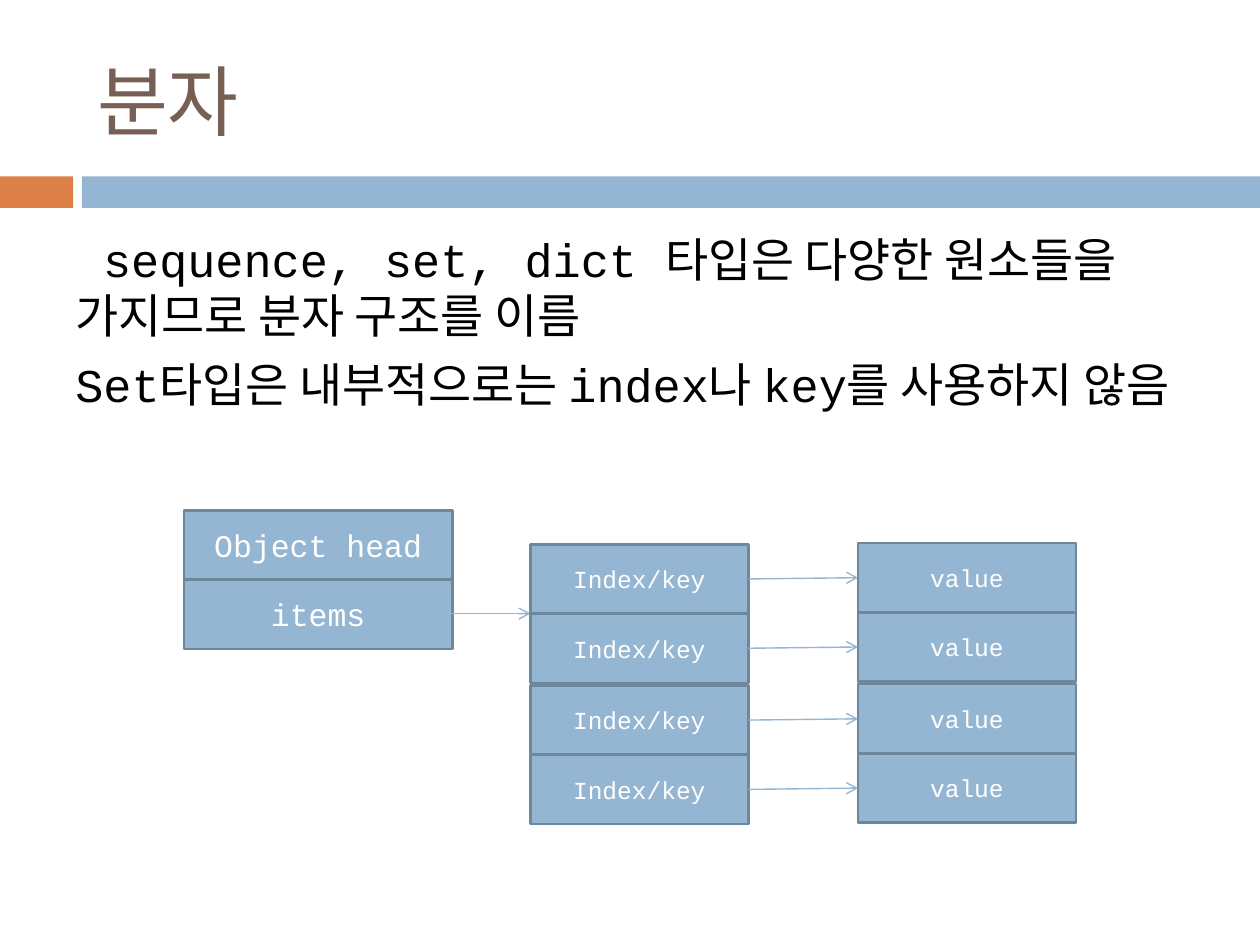
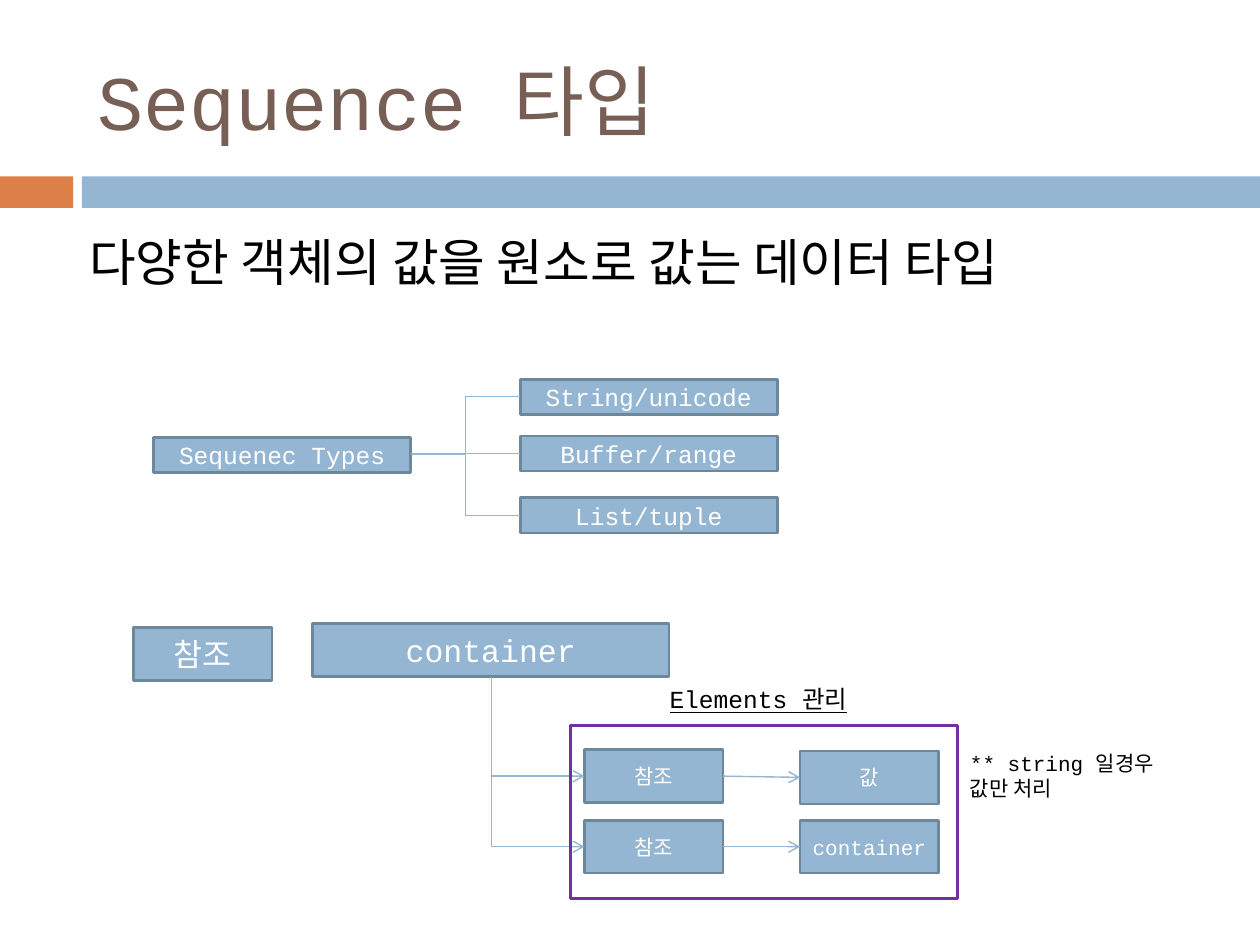
"""Build two slides on Python object structure: molecules and sequence types."""
from dataclasses import dataclass
from pptx import Presentation
from pptx.dml.color import RGBColor
from pptx.enum.shapes import MSO_CONNECTOR, MSO_SHAPE
from pptx.enum.text import MSO_ANCHOR, MSO_AUTO_SIZE, PP_ALIGN
from pptx.oxml.ns import qn
from pptx.util import Inches, Pt

RECT = MSO_SHAPE.RECTANGLE
STRAIGHT, ELBOW = MSO_CONNECTOR.STRAIGHT, MSO_CONNECTOR.ELBOW
LEFT, CENTER = PP_ALIGN.LEFT, PP_ALIGN.CENTER
TOP, MIDDLE = MSO_ANCHOR.TOP, MSO_ANCHOR.MIDDLE
NO_FIT = MSO_AUTO_SIZE.NONE


@dataclass(frozen=True)
class Theme:
    font: str = "Courier New"
    blue: RGBColor = RGBColor.from_string("94B6D2")
    edge: RGBColor = RGBColor.from_string("6D879B")
    orange: RGBColor = RGBColor.from_string("DD8047")
    brown: RGBColor = RGBColor.from_string("775F55")
    purple: RGBColor = RGBColor.from_string("7030A0")
    black: RGBColor = RGBColor.from_string("000000")
    white: RGBColor = RGBColor.from_string("FFFFFF")
    title: float = 44
    lead: float = 29
    body: float = 26.8
    large: float = 18
    medium: float = 14
    small: float = 12
    outline: float = 1.5
    wire: float = 0.79


T = Theme()
prs = Presentation()
prs.slide_width, prs.slide_height = Inches(10), Inches(7.5)
COL, ROW = prs.slide_width / 100, prs.slide_height / 75


def put(s, at, text="", size=T.medium, fill=None, line=None, color=T.white,
        align=CENTER, indent=0, underline=None):
    """Place a box, or a plain text box when it has neither fill nor line."""
    x, y, w, h = at
    area = [int(v) for v in (x * COL, y * ROW, w * COL, h * ROW)]
    boxed = fill is not None or line is not None
    sp = s.shapes.add_shape(RECT, *area) if boxed else s.shapes.add_textbox(*area)
    tf = sp.text_frame
    tf.word_wrap = True
    if boxed:
        sp.shadow.inherit = False
        tf.vertical_anchor = MIDDLE
        tf.margin_left = tf.margin_right = 0
        for paint, rgb in ((sp.fill, fill), (sp.line.fill, line)):
            if rgb is None:
                paint.background()
            else:
                paint.solid()
                paint.fore_color.rgb = rgb
        if line is not None:
            sp.line.width = Pt(T.outline)
    if not text:
        return
    tf.text = text
    for i, p in enumerate(tf.paragraphs):
        p.alignment = align
        if i:
            p.space_before = Pt(7)
        elif indent:
            p._p.get_or_add_pPr().set("indent", str(int(indent * COL)))
        for r in p.runs:
            for key, value in {"name": T.font, "size": Pt(size), "underline": underline}.items():
                setattr(r.font, key, value)
            r.font.color.rgb = color


def link(s, x1, y1, x2, y2, kind=STRAIGHT, arrow=True, corner=False):
    """Join two points; a corner link runs down first and then right."""
    if corner:
        cx, cy, w, h = (x1 + x2) / 2, (y1 + y2) / 2, y2 - y1, x2 - x1
        x1, y1, x2, y2 = cx + w / 2, cy - h / 2, cx - w / 2, cy + h / 2
    c = s.shapes.add_connector(kind, int(x1 * COL), int(y1 * ROW), int(x2 * COL), int(y2 * ROW))
    c.line.color.rgb = T.blue
    c.line.width = Pt(T.wire)
    spPr = c._element.spPr
    if corner:
        spPr.find(qn("a:xfrm")).set("rot", "16200000")
        spPr.find(qn("a:prstGeom")).set("prst", "bentConnector2")
    if arrow:
        ln = spPr.find(qn("a:ln"))
        ln.append(ln.makeelement(qn("a:tailEnd"), {"type": "arrow"}))
    spPr.append(spPr.makeelement(qn("a:effectLst"), {}))


slides = []
for heading in ("분자", "Sequence 타입"):
    s = prs.slides.add_slide(prs.slide_layouts[5])
    put(s, (0, 14, 5.8, 2.5), fill=T.orange)
    put(s, (6.5, 14, 93.5, 2.5), fill=T.blue)
    title = s.shapes.title
    place = {"left": 6.7 * COL, "top": 2.5 * ROW, "width": 89.2 * COL, "height": 10.8 * ROW}
    for key, value in place.items():
        setattr(title, key, int(value))
    tf = title.text_frame
    tf.text = heading
    tf.auto_size, tf.vertical_anchor = NO_FIT, MIDDLE
    p = tf.paragraphs[0]
    p.alignment = LEFT
    for key, value in {"name": T.font, "size": Pt(T.title)}.items():
        setattr(p.runs[0].font, key, value)
    p.runs[0].font.color.rgb = T.brown
    slides.append(s)
molecule, sequence = slides
block = {"fill": T.blue, "line": T.edge}
prose = {"color": T.black, "align": LEFT}

s = molecule
put(s, (5, 17.8, 90, 16.5),
    "sequence, set, dict 타입은 다양한 원소들을 가지므로 분자 구조를 이름\n"
    "Set타입은 내부적으로는 index나 key를 사용하지 않음",
    T.body, indent=2.2, **prose)
cell = 5.5
for i, text in enumerate(("Object head", "items")):
    put(s, (14.6, 40.5 + i * cell, 21.3, cell), text, T.large, **block)
link(s, 35.8, 48.7, 42.1, 48.7)
for i in range(4):
    y = 43.2 + i * cell + i // 2 * 0.2
    put(s, (42.1, y, 17.3, cell), "Index/key", **block)
    put(s, (68.1, y - 0.1, 17.3, cell), "value", **block)
    link(s, 59.4, y + cell / 2, 68.1, y + cell / 2 - 0.1)

s = sequence
put(s, (5, 17.8, 90, 13), "다양한 객체의 값을 원소로 값는 데이터 타입", T.lead, indent=1.1, **prose)
put(s, (12.2, 34.7, 20.4, 2.8), "Sequenec Types", **block)
for y, text in ((30.1, "String/unicode"), (34.6, "Buffer/range"), (39.5, "List/tuple")):
    put(s, (41.3, y, 20.4, 2.8), text, **block)
    link(s, 32.6, 36.05, 41.3, y + 1.4, ELBOW, arrow=False)

put(s, (10.6, 49.8, 11, 4.2), "참조", T.large, **block)
put(s, (24.8, 49.5, 28.3, 4.2), "container", T.large, **block)
for y, drop, text in ((59.5, 0.1, "값"), (65.1, 0, "container")):
    middle = y + 2.1
    put(s, (46.4, y, 11, 4.2), "참조", T.small, **block)
    put(s, (63.5, y + drop, 11, 4.2), text, T.small, **block)
    link(s, 39, 53.7, 46.4, middle, ELBOW, corner=True)
    link(s, 57.4, middle, 63.5, middle + drop)
put(s, (76, 59.1, 19.7, 5), "** string 일경우 값만 처리", T.small, **prose)
put(s, (45.3, 57.6, 30.7, 13.7), line=T.purple)
put(s, (49.2, 53.8, 22, 3.4), "Elements 관리", color=T.black, underline=True)

prs.save("out.pptx")
